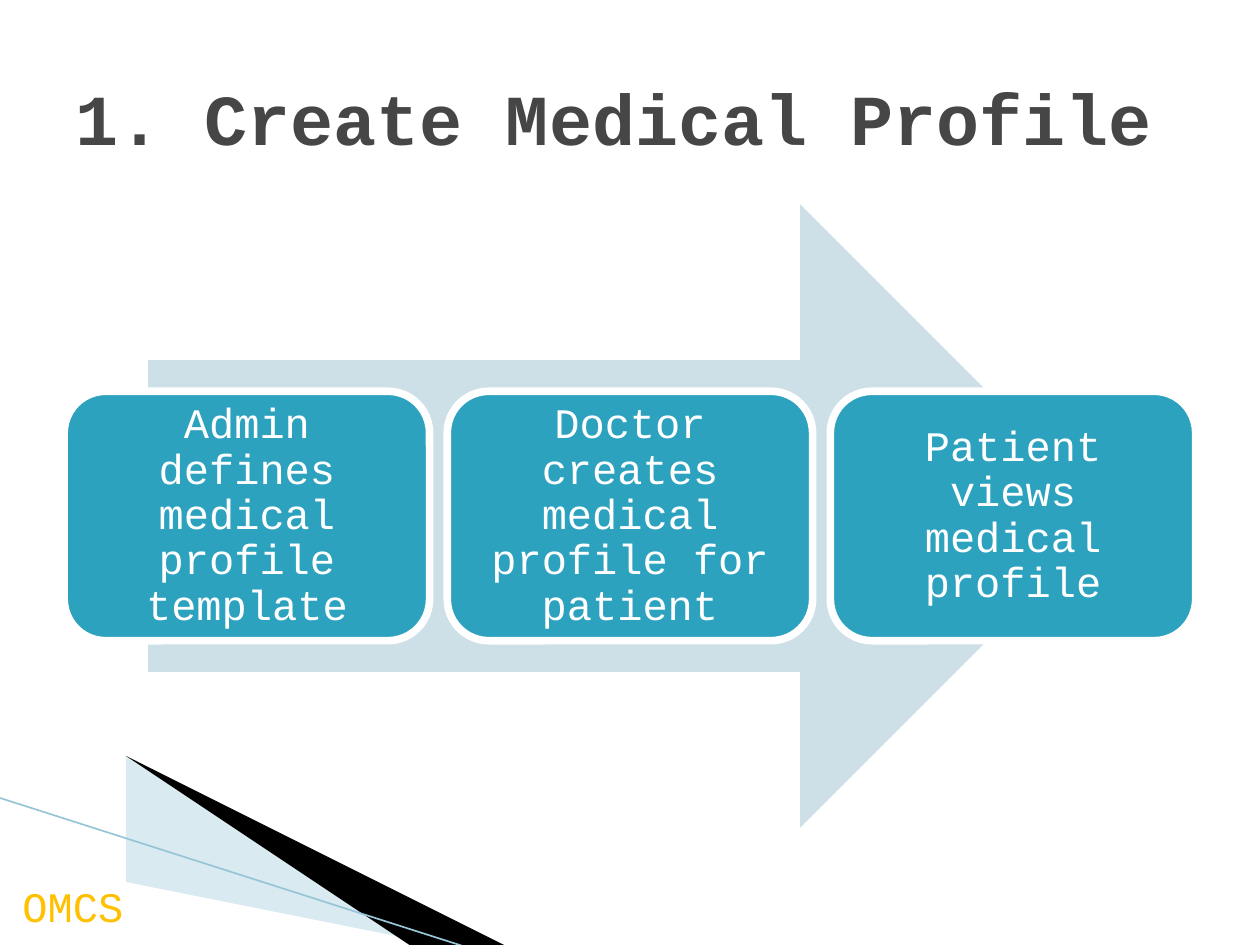
from lxml import etree
from pptx import Presentation
from pptx.dml.color import RGBColor
from pptx.enum.shapes import MSO_CONNECTOR, MSO_SHAPE
from pptx.enum.text import MSO_ANCHOR, PP_ALIGN
from pptx.oxml.ns import qn
from pptx.util import Inches, Pt

ROUND_RECT, RIGHT_ARROW = MSO_SHAPE.ROUNDED_RECTANGLE, MSO_SHAPE.RIGHT_ARROW
STRAIGHT = MSO_CONNECTOR.STRAIGHT
MIDDLE, TOP = MSO_ANCHOR.MIDDLE, MSO_ANCHOR.TOP
LEFT, CENTER = PP_ALIGN.LEFT, PP_ALIGN.CENTER

WHITE = RGBColor(0xFF, 0xFF, 0xFF)
BLACK = RGBColor(0x00, 0x00, 0x00)
TEAL = RGBColor(0x2D, 0xA2, 0xBF)
PALE_BLUE = RGBColor(0xCD, 0xE0, 0xE8)
WEDGE_BLUE = RGBColor(0xA0, 0xCB, 0xDC)
EDGE_BLUE = RGBColor(0x97, 0xC5, 0xD8)
GOLD = RGBColor(0xFF, 0xC0, 0x00)
GRAY = RGBColor(0x46, 0x46, 0x46)
FONT = "Courier New"

TITLE = "1. Create Medical Profile"
FOOTER = "OMCS"
STEPS = [
    "Admin defines medical profile template",
    "Doctor creates medical profile for patient",
    "Patient views medical profile",
]
WEDGES = [
    ([(0.55, 6.51), (5.95, 7.51), (4.56, 7.51), (0.55, 6.5)], WEDGE_BLUE, 40),
    ([(0.53, 6.49), (4.57, 7.51), (3.72, 7.52), (0.54, 6.5)], BLACK, 100),
]
EDGE = [(-0.01, 6.33), (3.71, 7.52)]

SLIDE_W, SLIDE_H = 10, 7.5
ARROW_W, ARROW_H, ARROW_TOP = 7.65, 4.95, 1.62
STEP_W, STEP_H, STEP_GAP = 2.9, 1.98, 0.14


def write(sp, text, size, color, align=LEFT, anchor=TOP, bold=False):
    tf = sp.text_frame
    tf.text = text
    tf.vertical_anchor = anchor
    p = tf.paragraphs[0]
    p.alignment = align
    font = p.runs[0].font
    font.name, font.size, font.bold = FONT, Pt(size), bold
    font.color.rgb = color
    return tf


def paint(sp, color):
    sp.shadow.inherit = False
    sp.fill.solid()
    sp.fill.fore_color.rgb = color
    sp.line.fill.background()


def add_wedge(shapes, points, color, opacity):
    builder = shapes.build_freeform(*points[0], scale=Inches(1))
    builder.add_line_segments(points[1:], close=True)
    sp = builder.convert_to_shape()
    paint(sp, color)
    if opacity < 100:
        clr = sp.fill._xPr.find(".//" + qn("a:srgbClr"))
        etree.SubElement(clr, qn("a:alpha")).set("val", str(opacity * 1000))


def add_step(shapes, index, text):
    row_w = len(STEPS) * STEP_W + (len(STEPS) - 1) * STEP_GAP
    left = (SLIDE_W - row_w) / 2 + index * (STEP_W + STEP_GAP)
    top = ARROW_TOP + (ARROW_H - STEP_H) / 2
    sp = shapes.add_shape(ROUND_RECT, Inches(left), Inches(top),
                          Inches(STEP_W), Inches(STEP_H))
    paint(sp, TEAL)
    sp.line.color.rgb = WHITE
    sp.line.width = Pt(4.33)
    tf = write(sp, text, 24, WHITE, CENTER, MIDDLE)
    tf.word_wrap = True
    tf.margin_left = tf.margin_right = Inches(0.1)
    tf.margin_top = tf.margin_bottom = Inches(0.1)
    tf.paragraphs[0].line_spacing = 0.9


def main():
    prs = Presentation()
    prs.slide_width, prs.slide_height = Inches(SLIDE_W), Inches(SLIDE_H)
    s = prs.slides.add_slide(prs.slide_layouts[5])
    shapes = s.shapes

    for points, color, opacity in WEDGES:
        add_wedge(shapes, points, color, opacity)

    (x1, y1), (x2, y2) = EDGE
    edge = shapes.add_connector(STRAIGHT, Inches(x1), Inches(y1), Inches(x2), Inches(y2))
    edge.line.color.rgb = EDGE_BLUE
    edge.line.width = Pt(0.95)
    etree.SubElement(edge._element.spPr, qn("a:effectLst"))

    footer = shapes.add_textbox(Inches(0.08), Inches(6.94), Inches(1.17), Inches(0.5))
    write(footer, FOOTER, 24, GOLD).word_wrap = False

    arrow = shapes.add_shape(RIGHT_ARROW, Inches((SLIDE_W - ARROW_W) / 2),
                             Inches(ARROW_TOP), Inches(ARROW_W), Inches(ARROW_H))
    paint(arrow, PALE_BLUE)
    for index, text in enumerate(STEPS):
        add_step(shapes, index, text)

    title = shapes.title
    title.left, title.top = Inches(0.5), Inches(0.3)
    title.width, title.height = Inches(9), Inches(1.25)
    write(title, TITLE, 41, GRAY, anchor=MIDDLE, bold=True)

    prs.save("out.pptx")


if __name__ == "__main__":
    main()
